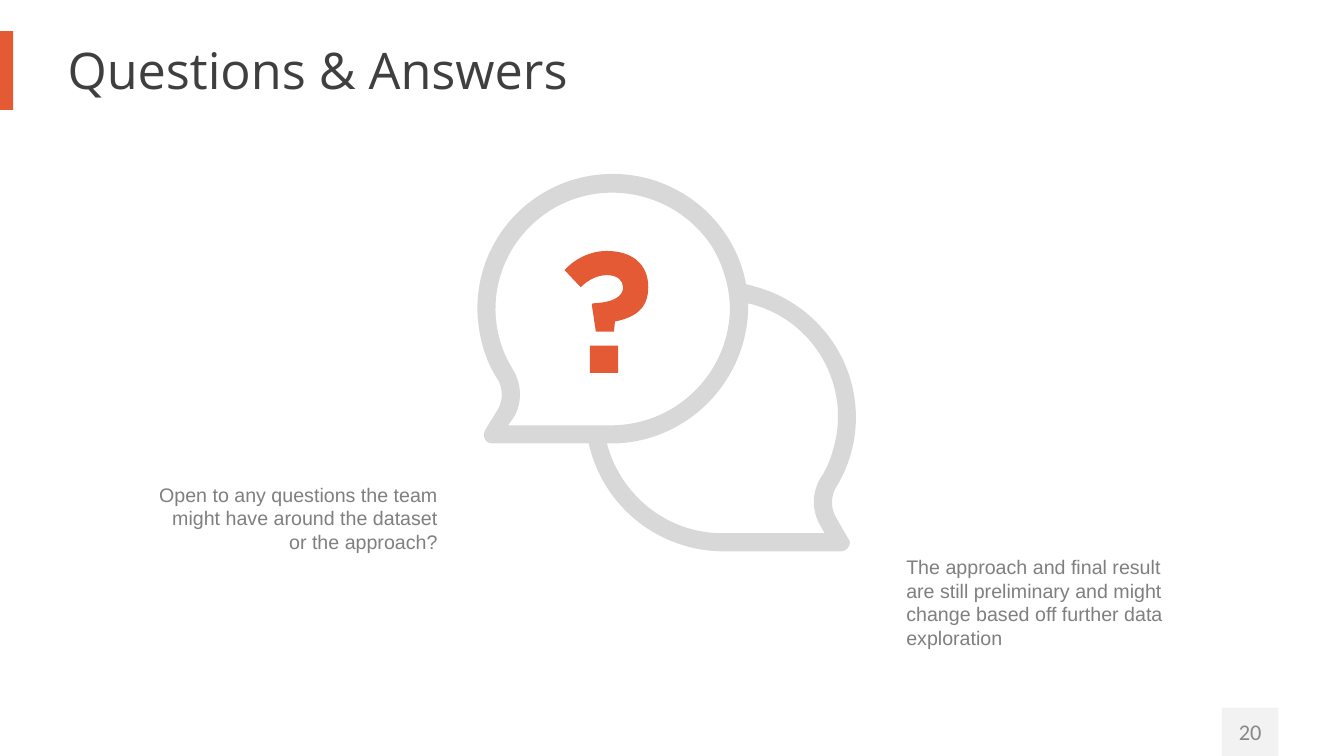
from dataclasses import dataclass
from itertools import islice

from pptx import Presentation
from pptx.dml.color import RGBColor
from pptx.enum.shapes import MSO_SHAPE
from pptx.enum.text import MSO_ANCHOR, MSO_AUTO_SIZE, PP_ALIGN
from pptx.oxml.ns import qn
from pptx.oxml.xmlchemy import OxmlElement
from pptx.shapes.autoshape import Shape
from pptx.shapes.shapetree import GroupShapes, SlideShapes
from pptx.slide import Slide
from pptx.text.text import TextFrame
from pptx.util import Inches, Pt

Point = tuple[float, float]


@dataclass(frozen=True)
class Theme:
    accent: RGBColor = RGBColor(0xE3, 0x5A, 0x35)
    outline: RGBColor = RGBColor(0xD8, 0xD8, 0xD8)
    paper: RGBColor = RGBColor(0xFF, 0xFF, 0xFF)
    number_fill: RGBColor = RGBColor(0xF2, 0xF2, 0xF2)
    number_text: RGBColor = RGBColor(0x88, 0x88, 0x88)
    title_text: RGBColor = RGBColor(0x3F, 0x3F, 0x3F)
    body_text: RGBColor = RGBColor(0x7F, 0x7F, 0x7F)
    title_font: str = "Open Sans"
    body_font: str = "Arial"
    number_font: str = "Calibri"
    title_size: int = 36
    number_size: int = 16
    body_size: int = 14


THEME = Theme()


@dataclass(frozen=True)
class Box:
    left: float
    top: float
    width: float
    height: float

    def lengths(self) -> list[int]:
        return [Inches(value) for value in (self.left, self.top, self.width, self.height)]


@dataclass(frozen=True)
class Contour:
    """A closed outline; each step is (x, y) for a line or six numbers for a Bézier curve."""
    start: Point
    steps: list[tuple[float, ...]]

    def points(self) -> list[tuple[int, int]]:
        numbers = [Inches(number) for step in (self.start, *self.steps) for number in step]
        return list(zip(numbers[::2], numbers[1::2]))


@dataclass(frozen=True)
class Outline:
    fill: RGBColor
    contours: list[Contour]


@dataclass(frozen=True)
class Remark:
    box: Box
    text: str
    alignment: PP_ALIGN


FRONT_BUBBLE = Outline(THEME.paper, [Contour((5.01, 3.72), [
    (4.65, 3.14, 4.83, 2.37, 5.42, 2.01), (6.01, 1.65, 6.78, 1.83, 7.14, 2.41),
    (7.27, 2.62, 7.33, 2.85, 7.33, 3.08), (7.3, 3.77, 6.74, 4.32, 6.04, 4.31),
    (4.89, 4.31), (5.01, 4.11), (5.08, 3.99, 5.08, 3.84, 5.01, 3.72)])])

BACK_BUBBLE = Outline(THEME.paper, [Contour((8.21, 4.79), [
    (8.58, 4.2, 8.39, 3.44, 7.8, 3.08), (7.65, 2.98, 7.49, 2.92, 7.32, 2.9),
    (7.32, 2.96, 7.33, 3.02, 7.33, 3.08), (7.3, 3.77, 6.73, 4.32, 6.04, 4.31),
    (5.91, 4.31), (6.01, 4.93, 6.55, 5.39, 7.18, 5.38),
    (8.34, 5.38), (8.21, 5.18), (8.14, 5.06, 8.14, 4.91, 8.21, 4.79)])])

BUBBLE_RIMS = Outline(THEME.outline, [
    Contour((8.29, 5.13), [
        (8.24, 5.04, 8.24, 4.93, 8.29, 4.84), (8.68, 4.21, 8.48, 3.39, 7.85, 3),
        (7.71, 2.91, 7.56, 2.86, 7.4, 2.82), (7.35, 2.54, 7.21, 2.29, 7, 2.09),
        (6.72, 1.83, 6.35, 1.7, 5.97, 1.73), (5.23, 1.79, 4.68, 2.43, 4.74, 3.17),
        (4.76, 3.38, 4.82, 3.59, 4.94, 3.77), (4.99, 3.86, 4.99, 3.97, 4.94, 4.06),
        (4.81, 4.27), (4.79, 4.31, 4.8, 4.37, 4.84, 4.39),
        (4.86, 4.4, 4.87, 4.4, 4.89, 4.4), (5.84, 4.4),
        (5.98, 5.03, 6.54, 5.47, 7.18, 5.47), (8.34, 5.47),
        (8.39, 5.47, 8.43, 5.43, 8.43, 5.38), (8.43, 5.37, 8.42, 5.35, 8.41, 5.34)]),
    Contour((5.04, 4.22), [
        (5.09, 4.15), (5.18, 4.01, 5.18, 3.82, 5.09, 3.67),
        (4.75, 3.13, 4.92, 2.42, 5.47, 2.08), (6.01, 1.75, 6.73, 1.92, 7.07, 2.46),
        (7.18, 2.65, 7.24, 2.86, 7.24, 3.08), (7.22, 3.72, 6.69, 4.23, 6.04, 4.22)]),
    Contour((7.18, 5.29), [
        (6.64, 5.3, 6.16, 4.93, 6.02, 4.4), (6.04, 4.4),
        (6.78, 4.41, 7.39, 3.82, 7.42, 3.09), (7.42, 3.06, 7.42, 3.03, 7.42, 3.01),
        (8.04, 3.15, 8.43, 3.78, 8.28, 4.4), (8.25, 4.52, 8.21, 4.64, 8.14, 4.74),
        (8.05, 4.89, 8.05, 5.07, 8.14, 5.22), (8.18, 5.29)])])

QUESTION_HOOK = Outline(THEME.accent, [Contour((6.18, 2.85), [
    (6.18, 2.94, 6.09, 3, 5.88, 3.01), (5.87, 3.02), (5.91, 3.29), (6.09, 3.29),
    (6.1, 3.19), (6.29, 3.15, 6.43, 3.07, 6.43, 2.85),
    (6.43, 2.62, 6.27, 2.49, 6.02, 2.49), (5.86, 2.49, 5.71, 2.56, 5.6, 2.68),
    (5.76, 2.85), (5.83, 2.78, 5.92, 2.73, 6.02, 2.73),
    (6.12, 2.73, 6.18, 2.78, 6.18, 2.85)])])

REMARKS = [
    Remark(Box(1.45, 4.74, 2.99, 0.81),
           "Open to any questions the team might have around the dataset or the approach?",
           PP_ALIGN.RIGHT),
    Remark(Box(8.89, 5.46, 2.99, 1.04),
           "The approach and final result are still preliminary and might change "
           "based off further data exploration",
           PP_ALIGN.LEFT),
]


def paint(shape: Shape, color: RGBColor) -> None:
    shape.shadow.inherit = False
    shape.fill.solid()
    shape.fill.fore_color.rgb = color
    shape.line.fill.background()


def add_rectangle(shapes: SlideShapes | GroupShapes, box: Box, color: RGBColor) -> Shape:
    rectangle = shapes.add_shape(MSO_SHAPE.RECTANGLE, *box.lengths())
    paint(rectangle, color)
    return rectangle


def bend_curves(shape: Shape, outline: Outline) -> None:
    """Join the three line segments of each Bézier step into one curve."""
    segments = iter(list(shape.element.iter(qn("a:lnTo"))))
    for contour in outline.contours:
        for step in contour.steps:
            lines = list(islice(segments, len(step) // 2))
            if len(lines) == 1:
                continue
            curve = OxmlElement("a:cubicBezTo")
            lines[0].addprevious(curve)
            for line in lines:
                curve.append(line[0])
                line.getparent().remove(line)


def add_outline(shapes: GroupShapes, outline: Outline) -> None:
    first, *holes = [contour.points() for contour in outline.contours]
    builder = shapes.build_freeform(*first[0])
    builder.add_line_segments(first[1:])
    for hole in holes:
        builder.move_to(*hole[0])
        builder.add_line_segments(hole[1:])
    shape = builder.convert_to_shape()
    bend_curves(shape, outline)
    paint(shape, outline.fill)


def write(frame: TextFrame, text: str, font: str, size: int, color: RGBColor,
          alignment: PP_ALIGN) -> None:
    frame.word_wrap = True
    frame.text = text
    paragraph = frame.paragraphs[0]
    paragraph.alignment = alignment
    paragraph.font.name = font
    paragraph.font.size = Pt(size)
    paragraph.font.color.rgb = color


def center_vertically(frame: TextFrame) -> None:
    frame.vertical_anchor = MSO_ANCHOR.MIDDLE
    frame.auto_size = MSO_AUTO_SIZE.NONE
    frame.margin_left = frame.margin_right = 0
    frame.margin_top = frame.margin_bottom = Inches(0.07)


def main() -> None:
    presentation = Presentation()
    presentation.slide_width, presentation.slide_height = Inches(13.33), Inches(7.5)
    slide: Slide = presentation.slides.add_slide(presentation.slide_layouts[5])

    add_rectangle(slide.shapes, Box(0, 0.31, 0.13, 0.78), THEME.accent)
    page_number = add_rectangle(slide.shapes, Box(12.12, 7.02, 0.56, 0.48), THEME.number_fill)
    center_vertically(page_number.text_frame)
    write(page_number.text_frame, "20", THEME.number_font, THEME.number_size,
          THEME.number_text, PP_ALIGN.CENTER)

    title = slide.shapes.title
    title.left, title.top, title.width, title.height = Box(0.67, 0.3, 12, 0.78).lengths()
    center_vertically(title.text_frame)
    write(title.text_frame, "Questions & Answers", THEME.title_font, THEME.title_size,
          THEME.title_text, PP_ALIGN.LEFT)

    bubbles = slide.shapes.add_group_shape().shapes
    for outline in (FRONT_BUBBLE, BACK_BUBBLE, BUBBLE_RIMS, QUESTION_HOOK):
        add_outline(bubbles, outline)
    add_rectangle(bubbles, Box(5.85, 3.43, 0.28, 0.27), THEME.accent)

    for remark in REMARKS:
        frame = slide.shapes.add_textbox(*remark.box.lengths()).text_frame
        write(frame, remark.text, THEME.body_font, THEME.body_size, THEME.body_text,
              remark.alignment)
        frame.auto_size = MSO_AUTO_SIZE.SHAPE_TO_FIT_TEXT
    presentation.save("out.pptx")


if __name__ == "__main__":
    main()
